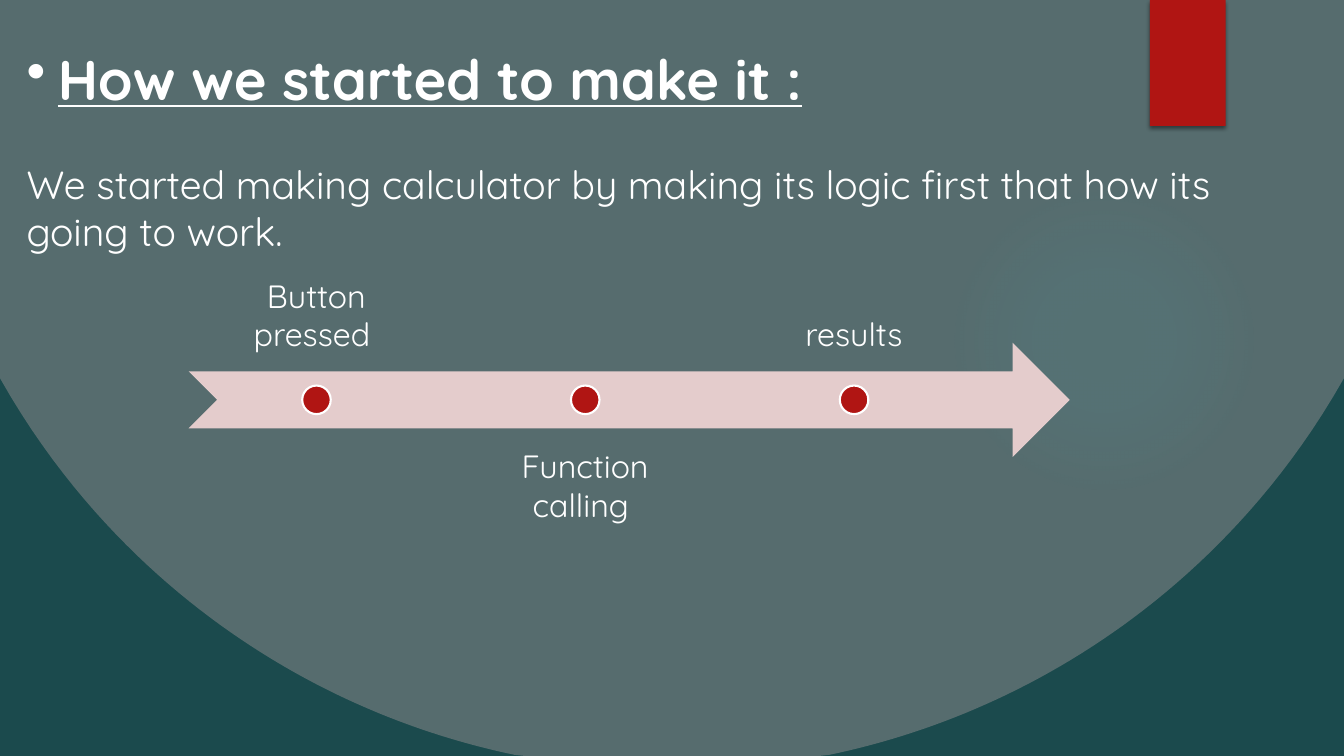
import math
from lxml import etree
from pptx import Presentation, util as u
from pptx.dml.color import RGBColor
from pptx.enum import shapes, text
from pptx.oxml import parse_xml
from pptx.oxml.ns import nsdecls, qn

DEEP = RGBColor(0x1B, 0x4A, 0x4D)
SLATE = RGBColor(0x56, 0x6C, 0x6E)
RED = RGBColor(0xB0, 0x15, 0x13)
PINK = RGBColor(0xE4, 0xCC, 0xCC)
WHITE = RGBColor(0xFF, 0xFF, 0xFF)
GLOW = "50B9C1"
KIND = shapes.MSO_SHAPE
COLS, ROWS = 32, 18


class Deck:
    """Draws styled elements on a slide grid of 32 columns by 18 rows."""

    def __init__(self, font):
        self.prs = Presentation()
        self.prs.slide_width = u.Inches(13.33)
        self.prs.slide_height = u.Inches(7.5)
        self.font = font
        self.slide = self.prs.slides.add_slide(self.prs.slide_layouts[6])
        self.items = self.slide.shapes

    def place(self, left, top, wide, high):
        col = self.prs.slide_width / COLS
        row = self.prs.slide_height / ROWS
        return [u.Emu(round(n)) for n in (left * col, top * row, wide * col, high * row)]

    def back(self, color):
        fill = self.slide.background.fill
        fill.solid()
        fill.fore_color.rgb = color

    def paint(self, item, fill, line=None):
        item.shadow.inherit = False
        item.fill.solid()
        item.fill.fore_color.rgb = fill
        if line:
            item.line.color.rgb = line
            item.line.width = u.Pt(1.5)
        else:
            item.line.fill.background()
        return item

    def shape(self, kind, box, fill, line=None):
        return self.paint(self.items.add_shape(kind, *self.place(*box)), fill, line)

    def dome(self, radius, fill):
        mid = COLS / 2
        arc = [(x / 4, min(ROWS, math.sqrt(radius ** 2 - (x / 4 - mid) ** 2)))
               for x in range(COLS * 4 + 1)]
        spots = [self.place(x, y, 0, 0)[:2] for x, y in arc + [(COLS, 0)]]
        path = self.items.build_freeform(0, 0)
        path.add_line_segments(spots, close=True)
        return self.paint(path.convert_to_shape(), fill)

    def glow(self, box):
        disc = self.shape(KIND.OVAL, box, SLATE)
        stops = "".join(
            f'<a:gs pos="{pos}000"><a:srgbClr val="{GLOW}"><a:alpha val="{alpha}000"/></a:srgbClr></a:gs>'
            for pos, alpha in ((0, 7), (36, 6), (69, 0), (100, 0)))
        grad = parse_xml(
            f'<a:gradFill {nsdecls("a")}><a:gsLst>{stops}</a:gsLst><a:path path="circle">'
            '<a:fillToRect l="50000" t="50000" r="50000" b="50000"/></a:path></a:gradFill>')
        solid = disc.element.spPr.find(qn("a:solidFill"))
        solid.getparent().replace(solid, grad)

    def shade(self, item):
        item.element.spPr.find(qn("a:effectLst")).append(parse_xml(
            f'<a:outerShdw {nsdecls("a")} blurRad="38100" dist="25400" dir="5400000" rotWithShape="0">'
            '<a:srgbClr val="000000"><a:alpha val="45000"/></a:srgbClr></a:outerShdw>'))

    def text(self, box, lines, size, inset=None, align=None, anchor=text.MSO_ANCHOR.TOP):
        frame = self.items.add_textbox(*self.place(*box)).text_frame
        frame.word_wrap = True
        frame.vertical_anchor = anchor
        if inset:
            frame.margin_left = frame.margin_right = u.Inches(inset)
            frame.margin_top = frame.margin_bottom = u.Inches(inset)
        frame.text = "\n".join(lines)
        for para in frame.paragraphs:
            para.alignment = align
            for run in para.runs:
                run.font.name = self.font
                run.font.size = u.Pt(size)
                run.font.color.rgb = WHITE
        return frame.paragraphs

    def head(self, para, size):
        font = para.runs[0].font
        font.size, font.bold, font.underline = u.Pt(size), True, True
        props = para._p.get_or_add_pPr()
        props.set("marL", str(u.Inches(0.31)))
        props.set("indent", str(-u.Inches(0.31)))
        etree.SubElement(props, qn("a:buChar")).set("char", "•")


def main():
    deck = Deck("Quicksand")
    deck.back(DEEP)
    deck.dome(18.36, SLATE)
    deck.glow((22.58, 4.4, 7.4, 7.4))
    deck.shade(deck.shape(KIND.RECTANGLE, (27.38, 0, 1.8, 3), RED))

    title, body = deck.text((0.4, 0.94, 31.18, 5.26), [
        "How we started to make it :",
        "We started making calculator by making its logic first that how its going to work."], 28)
    deck.head(title, 40)
    body.space_before = u.Pt(35)

    left, top, high = 4.49, 8.16, 2.72
    wide, step, dot = 6.09, 6.4, 0.68
    deck.shape(KIND.NOTCHED_RIGHT_ARROW, (left, top, 20.98, high), PINK)
    for i, name in enumerate(("Button pressed ", "Function calling ", "results")):
        x = left + i * step
        below = i % 2
        y = top + high * (0.75 if below else -0.75)
        anchor = text.MSO_ANCHOR.TOP if below else text.MSO_ANCHOR.BOTTOM
        deck.text((x, y, wide, high), [name], 23, 0.18, text.PP_ALIGN.CENTER, anchor)
        spot = (x + (wide - dot) / 2, top + (high - dot) / 2, dot, dot)
        deck.shape(KIND.OVAL, spot, RED, WHITE)

    deck.prs.save("out.pptx")


if __name__ == "__main__":
    main()
